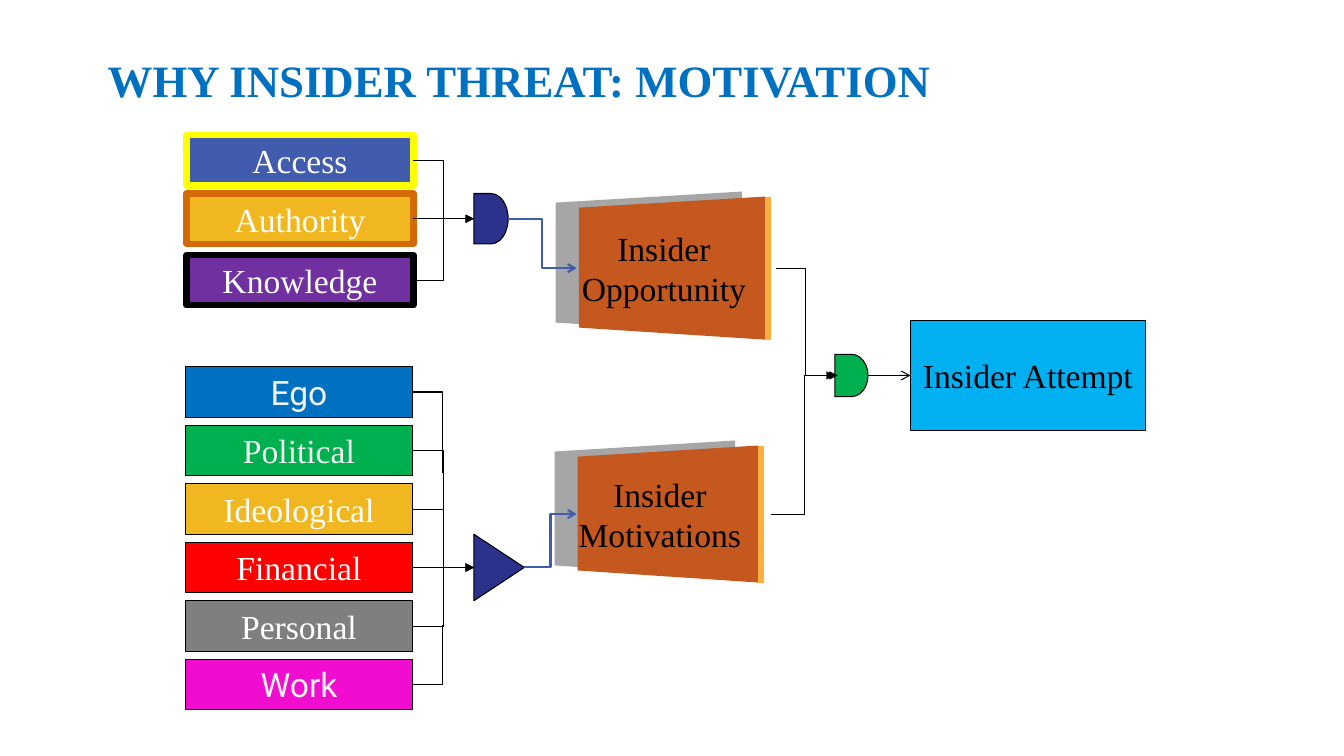
from lxml import etree
from pptx import Presentation
from pptx.dml.color import RGBColor
from pptx.enum.shapes import MSO_CONNECTOR, MSO_SHAPE
from pptx.enum.text import MSO_ANCHOR, PP_ALIGN
from pptx.oxml.ns import qn
from pptx.util import Inches, Pt

RECT, DELAY = MSO_SHAPE.RECTANGLE, MSO_SHAPE.FLOWCHART_DELAY
EXTRACT = MSO_SHAPE.FLOWCHART_EXTRACT
ELBOW, STRAIGHT = MSO_CONNECTOR.ELBOW, MSO_CONNECTOR.STRAIGHT
LEFT, CENTER, MIDDLE = PP_ALIGN.LEFT, PP_ALIGN.CENTER, MSO_ANCHOR.MIDDLE
SITE_LEFT, SITE_RIGHT = 1, 3

BLACK = RGBColor(0x00, 0x00, 0x00)
WHITE = RGBColor(0xFF, 0xFF, 0xFF)
PALE = RGBColor(0xF2, 0xF2, 0xF2)
BLUE = RGBColor(0x00, 0x70, 0xC0)
INDIGO = RGBColor(0x41, 0x5C, 0xAD)
NAVY = RGBColor(0x2B, 0x32, 0x8C)
SKY = RGBColor(0x00, 0xB0, 0xF0)
GREEN = RGBColor(0x00, 0xB0, 0x50)
GOLD = RGBColor(0xF1, 0xB7, 0x21)
YELLOW = RGBColor(0xFF, 0xFF, 0x00)
OCHRE = RGBColor(0xD3, 0x69, 0x07)
PURPLE = RGBColor(0x70, 0x30, 0xA0)
RED = RGBColor(0xFF, 0x00, 0x00)
GREY = RGBColor(0x7F, 0x7F, 0x7F)
MAGENTA = RGBColor(0xF1, 0x0D, 0xD0)
RUST = RGBColor(0xC4, 0x58, 0x1F)
AMBER = RGBColor(0xFF, 0xAF, 0x40)
SHADE = RGBColor(0xA6, 0xA6, 0xA6)

SERIF, SANS = "Times New Roman", "Roboto"
FACTOR_W, FACTOR_H = 2.25, 0.5
MOTIVE_TOP, MOTIVE_PITCH = 3.64, 0.58

OPPORTUNITY_FACTORS = [
    ("Access", 1.34, INDIGO, YELLOW),
    ("Authority", 1.92, GOLD, OCHRE),
    ("Knowledge", 2.53, PURPLE, BLACK),
]
MOTIVES = [
    ("Ego", BLUE, PALE, SANS),
    ("Political", GREEN, PALE, SERIF),
    ("Ideological", GOLD, WHITE, SERIF),
    ("Financial", RED, WHITE, SERIF),
    ("Personal", GREY, WHITE, SERIF),
    ("Work", MAGENTA, PALE, SANS),
]


def write(shape, text, size=24, color=BLACK, font=SERIF, bold=False,
          align=CENTER, spacing=1.0, margin=0.05):
    frame = shape.text_frame
    frame.word_wrap = True
    frame.vertical_anchor = MIDDLE
    frame.margin_left = frame.margin_right = Inches(margin)
    paragraph = frame.paragraphs[0]
    paragraph.alignment = align
    paragraph.line_spacing = spacing
    run = paragraph.add_run()
    run.text = text
    run.font.size, run.font.name, run.font.bold = Pt(size), font, bold
    run.font.color.rgb = color


def paint(shape, fill, line=None, width=0.75):
    shape.shadow.inherit = False
    shape.fill.solid()
    shape.fill.fore_color.rgb = fill
    if line is None:
        shape.line.fill.background()
    else:
        shape.line.color.rgb = line
        shape.line.width = Pt(width)
    return shape


def add_block(slide, kind, box, fill, line=BLACK, width=0.75):
    shape = slide.shapes.add_shape(kind, *map(Inches, box))
    return paint(shape, fill, line, width)


def add_polygon(slide, points, fill):
    corners = [(Inches(x), Inches(y)) for x, y in points]
    builder = slide.shapes.build_freeform(*corners[0])
    builder.add_line_segments(corners[1:], close=True)
    paint(builder.convert_to_shape(), fill)


def add_link(slide, start, end, kind=ELBOW, color=BLACK, width=0.5,
             head="triangle", single_bend=False):
    link = slide.shapes.add_connector(kind, *map(Inches, (*start, *end)))
    link.line.color.rgb = color
    link.line.width = Pt(width)
    properties = link._element.spPr
    if single_bend:
        properties.find(qn("a:prstGeom")).set("prst", "bentConnector2")
    if head:
        etree.SubElement(link.line._get_or_add_ln(), qn("a:tailEnd"), type=head)
    etree.SubElement(properties, qn("a:effectLst"))
    return link


def add_title(slide, box):
    title = slide.shapes.add_textbox(*map(Inches, box))
    write(title, "WHY INSIDER THREAT: MOTIVATION", size=32, color=BLUE,
          bold=True, align=LEFT, spacing=0.9, margin=0.1)


def add_panel(slide, box, text):
    """Orange panel in perspective, with a lit right edge and a cast shadow."""
    left, top, width, height = box
    near, far = left + 0.27, left + width - 0.11
    bottom = top + height
    edge = far + 0.06
    high, low = top - 0.07, bottom + 0.07
    face = [(near, top + 0.04), (far, high), (far, low), (near, bottom - 0.05)]
    add_polygon(slide, [(x - 0.23, y - 0.05) for x, y in face], SHADE)
    add_polygon(slide, face, RUST)
    add_polygon(slide, [(far, high), (edge, high), (edge, low), (far, low)], AMBER)
    write(slide.shapes.add_textbox(*map(Inches, box)), text)


def add_opportunity(slide, left, gate_box):
    gate_left, gate_top, gate_w, gate_h = gate_box
    gate_mid = gate_top + gate_h / 2
    gate = add_block(slide, DELAY, gate_box, NAVY)
    for name, top, fill, border in OPPORTUNITY_FACTORS:
        factor = add_block(slide, RECT, (left, top, FACTOR_W, FACTOR_H),
                           fill, border, 4.5)
        write(factor, name, color=WHITE)
        mid = top + FACTOR_H / 2
        level = abs(mid - gate_mid) < 0.02
        link = add_link(slide, (left + FACTOR_W, mid), (gate_left, gate_mid),
                        STRAIGHT if level else ELBOW)
        if level:
            link.begin_connect(factor, SITE_RIGHT)
            link.end_connect(gate, SITE_LEFT)
    add_panel(slide, (5.47, 2.02, 2.23, 1.28), "Insider Opportunity")
    add_link(slide, (gate_left + gate_w, gate_mid), (5.72, 2.66),
             color=INDIGO, width=1.5, head="arrow")


def add_motivations(slide, left, gate_left):
    gate_mid = MOTIVE_TOP + 3 * MOTIVE_PITCH + FACTOR_H / 2
    gate_w, gate_h = 0.5, 0.66
    gate = add_block(slide, EXTRACT, (gate_left + (gate_w - gate_h) / 2,
                                      gate_mid - gate_w / 2, gate_h, gate_w), NAVY)
    gate.rotation = 90
    right = left + FACTOR_W
    bus_ends = {"Ego": 4.69, "Work": 6.2}
    for row, (name, fill, ink, font) in enumerate(MOTIVES):
        top = MOTIVE_TOP + row * MOTIVE_PITCH
        mid = top + FACTOR_H / 2
        motive = add_block(slide, RECT, (left, top, FACTOR_W, FACTOR_H), fill)
        write(motive, name, color=ink, font=font)
        if name in bus_ends:
            add_link(slide, (right, mid), (right + 0.3, bus_ends[name]),
                     width=1, head=None, single_bend=True)
        elif name == "Financial":
            link = add_link(slide, (right, mid), (gate_left, gate_mid), STRAIGHT)
            link.begin_connect(motive, SITE_RIGHT)
        else:
            add_link(slide, (right, mid), (gate_left, gate_mid))
    add_panel(slide, (5.46, 4.49, 2.17, 1.22), "Insider Motivations")
    add_link(slide, (gate_left + gate_w, gate_mid), (5.72, 5.1),
             color=INDIGO, width=1.5, head="arrow")


def add_attempt(slide, box):
    left, top, _, height = box
    mid = top + height / 2
    attempt = add_block(slide, RECT, box, SKY)
    write(attempt, "Insider Attempt")
    gate = add_block(slide, DELAY, (left - 0.75, mid - 0.21, 0.33, 0.42), GREEN)
    link = add_link(slide, (left - 0.42, mid), (left, mid), STRAIGHT,
                    width=0.75, head="arrow")
    link.begin_connect(gate, SITE_RIGHT)
    link.end_connect(attempt, SITE_LEFT)
    add_link(slide, (7.7, 2.66), (left - 0.75, mid))
    add_link(slide, (7.65, 5.1), (left - 0.72, mid))


def main():
    deck = Presentation()
    deck.slide_width, deck.slide_height = Inches(13.33), Inches(7.5)
    slide = deck.slides.add_slide(deck.slide_layouts[6])
    add_title(slide, (0.97, 0.32, 11.5, 1.01))
    add_opportunity(slide, 1.85, (4.7, 1.92, 0.34, 0.5))
    add_motivations(slide, 1.84, 4.7)
    add_attempt(slide, (9.03, 3.18, 2.33, 1.09))
    deck.save("out.pptx")


if __name__ == "__main__":
    main()
